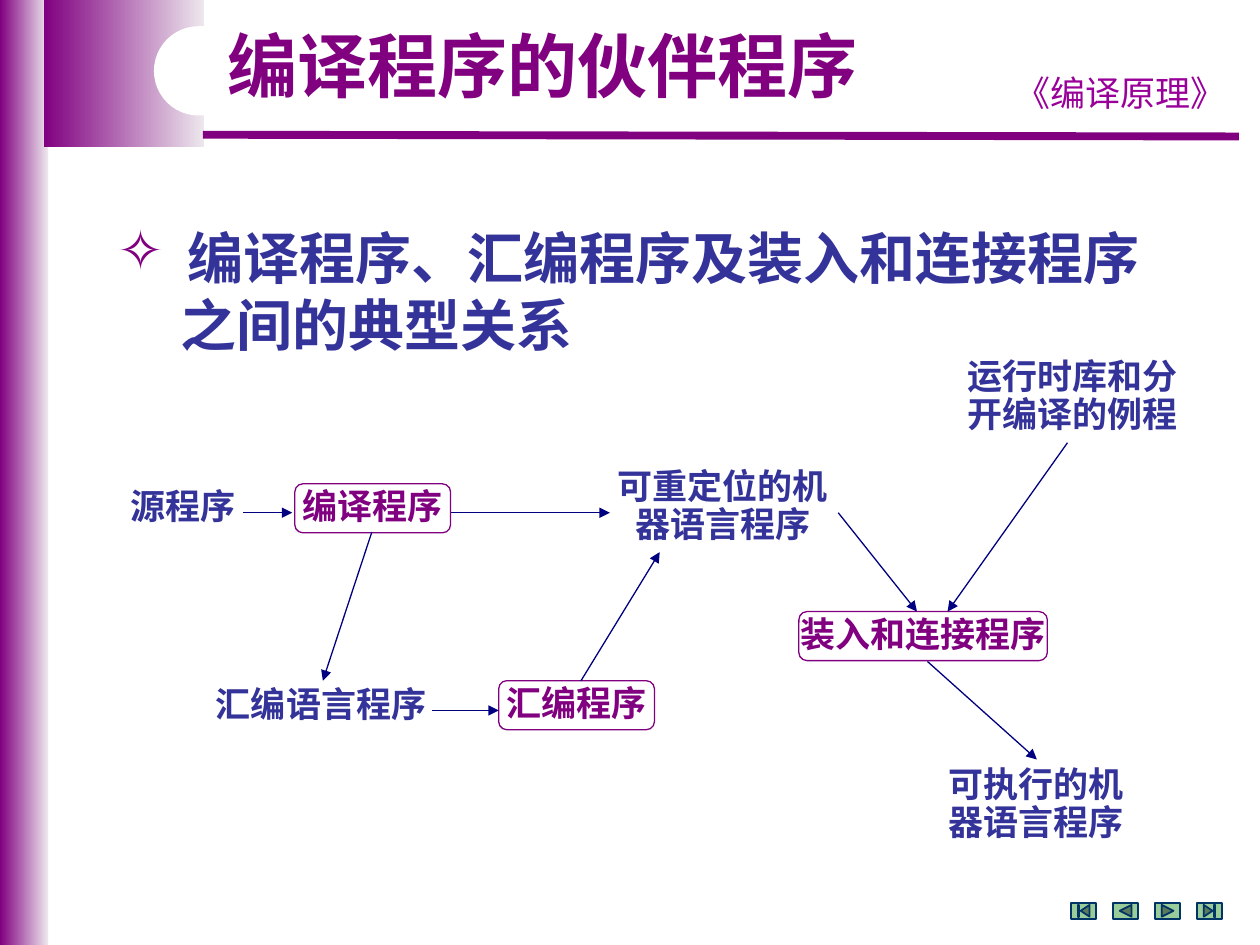
"""Build a slide on the programs that work alongside a compiler."""
from lxml import etree
from pptx import Presentation
from pptx.dml.color import RGBColor
from pptx.enum import shapes, text
from pptx.oxml import ns
from pptx.util import Pt

PURPLE = RGBColor(0x80, 0x00, 0x80)
PALE = RGBColor(0xED, 0xE7, 0xED)
MAGENTA = RGBColor(0x99, 0x00, 0x99)
INDIGO = RGBColor(0x33, 0x33, 0x99)
NAVY = RGBColor(0x00, 0x00, 0x80)
GREEN = RGBColor(0x99, 0xCC, 0x99)
TEAL = RGBColor(0x00, 0x33, 0x66)
WHITE = RGBColor(0xFF, 0xFF, 0xFF)
KIND = shapes.MSO_SHAPE

BANDS = [(0, 0, 27.5, 540), (25, 0, 91.5, 84)]
COURSE = ("《编译原理》", (569.5, 37.5, 142, 31))
TITLE = ("编译程序的伙伴程序", (119, 15, 382, 50.5))
HEADING_AREA = (60, 124, 635, 84)
HEADING = [("编译程序、汇编程序及装入和连接程序", 40, "✧"), ("之间的典型关系", 36, None)]
PROGRAMS = [
    ("编译程序", (168.5, 276.5, 89, 28)),
    ("装入和连接程序", (456.5, 349.5, 142, 28)),
    ("汇编程序", (285, 389, 89, 28)),
]
DATA_LABELS = [
    ("源程序", (60, 276, 89, 29)),
    ("可重定位的机器语言程序", (343, 264.5, 140, 50.5)),
    ("汇编语言程序", (116, 389, 135, 29)),
    ("可执行的机器语言程序", (530, 435, 124.5, 50.5)),
    ("运行时库和分开编译的例程", (543, 202, 140, 50.5)),
]
ARROWS = [
    (139, 293, 167, 293),
    (247, 406, 285, 406),
    (212.5, 304, 184.5, 389),
    (258, 293, 348.5, 293),
    (332, 389, 377, 315.5),
    (479, 293, 524, 349.5),
    (530, 378, 592.5, 434),
    (610, 253, 541.5, 349.5),
]
BUTTONS = [
    KIND.ACTION_BUTTON_BEGINNING,
    KIND.ACTION_BUTTON_BACK_OR_PREVIOUS,
    KIND.ACTION_BUTTON_FORWARD_OR_NEXT,
    KIND.ACTION_BUTTON_END,
]
BUTTON_LEFT, BUTTON_TOP, BUTTON_STEP = 612, 516, 24
BUTTON_SIZE = (14.5, 9)


def points(values):
    return [Pt(value) for value in values]


def style(para, size, color, bold=True, font="Arial"):
    para.font.name = font
    para.font.size = Pt(size)
    para.font.bold = bold
    para.font.color.rgb = color


def add_child(parent, tag, **attributes):
    return etree.SubElement(parent, ns.qn(tag), **attributes)


def add_shape(page, kind, area, fill=WHITE, line=None, width=0.75):
    shape = page.shapes.add_shape(kind, *points(area))
    shape.shadow.inherit = False
    shape.fill.solid()
    shape.fill.fore_color.rgb = fill
    if line is None:
        shape.line.fill.background()
    else:
        shape.line.color.rgb = line
        shape.line.width = Pt(width)
    return shape


def add_band(page, area):
    band = add_shape(page, KIND.RECTANGLE, area)
    band.fill.gradient()
    band.fill.gradient_angle = 0
    for stop, color in zip(band.fill.gradient_stops, (PURPLE, PALE)):
        stop.color.rgb = color


def add_line(page, ends, color, width, arrow=False):
    line = page.shapes.add_connector(shapes.MSO_CONNECTOR.STRAIGHT, *points(ends))
    line.line.color.rgb = color
    line.line.width = Pt(width)
    if arrow:
        add_child(line.line._get_or_add_ln(), "a:tailEnd", type="triangle")
    add_child(line._element.spPr, "a:effectLst")


def add_box(page, area):
    box = page.shapes.add_textbox(*points(area))
    box.text_frame.word_wrap = True
    box.text_frame.auto_size = text.MSO_AUTO_SIZE.SHAPE_TO_FIT_TEXT
    return box.text_frame


def write_centred(frame, words, size, color, spacing=0.9, **options):
    frame.text = words
    para = frame.paragraphs[0]
    para.alignment = text.PP_ALIGN.CENTER
    para.line_spacing = spacing
    style(para, size, color, **options)
    for span in para.runs:
        style(span, size, color, **options)


def add_program(page, words, area):
    box = add_shape(page, KIND.ROUNDED_RECTANGLE, area, line=PURPLE)
    box.text_frame.word_wrap = False
    box.text_frame.vertical_anchor = text.MSO_ANCHOR.MIDDLE
    write_centred(box.text_frame, words, 20, PURPLE)


def add_heading(page):
    frame = add_box(page, HEADING_AREA)
    frame.text = "\n".join(words for words, _, _ in HEADING)
    for para, (_, indent, bullet) in zip(frame.paragraphs, HEADING):
        props = para._p.get_or_add_pPr()
        props.set("marL", str(Pt(indent)))
        if bullet:
            props.set("indent", str(-Pt(indent)))
            color = add_child(props, "a:buClr")
            add_child(color, "a:srgbClr", val=str(PURPLE))
            add_child(props, "a:buChar", char=bullet)
        style(para, 32, INDIGO)
        for span in para.runs:
            style(span, 32, INDIGO)


def main():
    deck = Presentation()
    deck.slide_width, deck.slide_height = Pt(720), Pt(540)
    page = deck.slides.add_slide(deck.slide_layouts[6])

    for area in BANDS:
        add_band(page, area)
    add_line(page, (116, 77, 708, 78), PURPLE, 4.5)
    notch = add_shape(page, KIND.ROUNDED_RECTANGLE, (88, 15, 260.5, 51))
    notch.adjustments[0] = 0.5

    words, area = COURSE
    write_centred(add_box(page, area), words, 20, MAGENTA, 1.0, bold=False, font="Comic Neue")
    words, area = TITLE
    write_centred(add_box(page, area), words, 40, PURPLE)
    add_heading(page)

    for words, area in PROGRAMS:
        add_program(page, words, area)
    for words, area in DATA_LABELS:
        write_centred(add_box(page, area), words, 20, INDIGO)
    for ends in ARROWS:
        add_line(page, ends, NAVY, 0.75, arrow=True)
    for index, kind in enumerate(BUTTONS):
        area = (BUTTON_LEFT + index * BUTTON_STEP, BUTTON_TOP, *BUTTON_SIZE)
        add_shape(page, kind, area, GREEN, TEAL, 1)

    deck.save("out.pptx")


if __name__ == "__main__":
    main()
